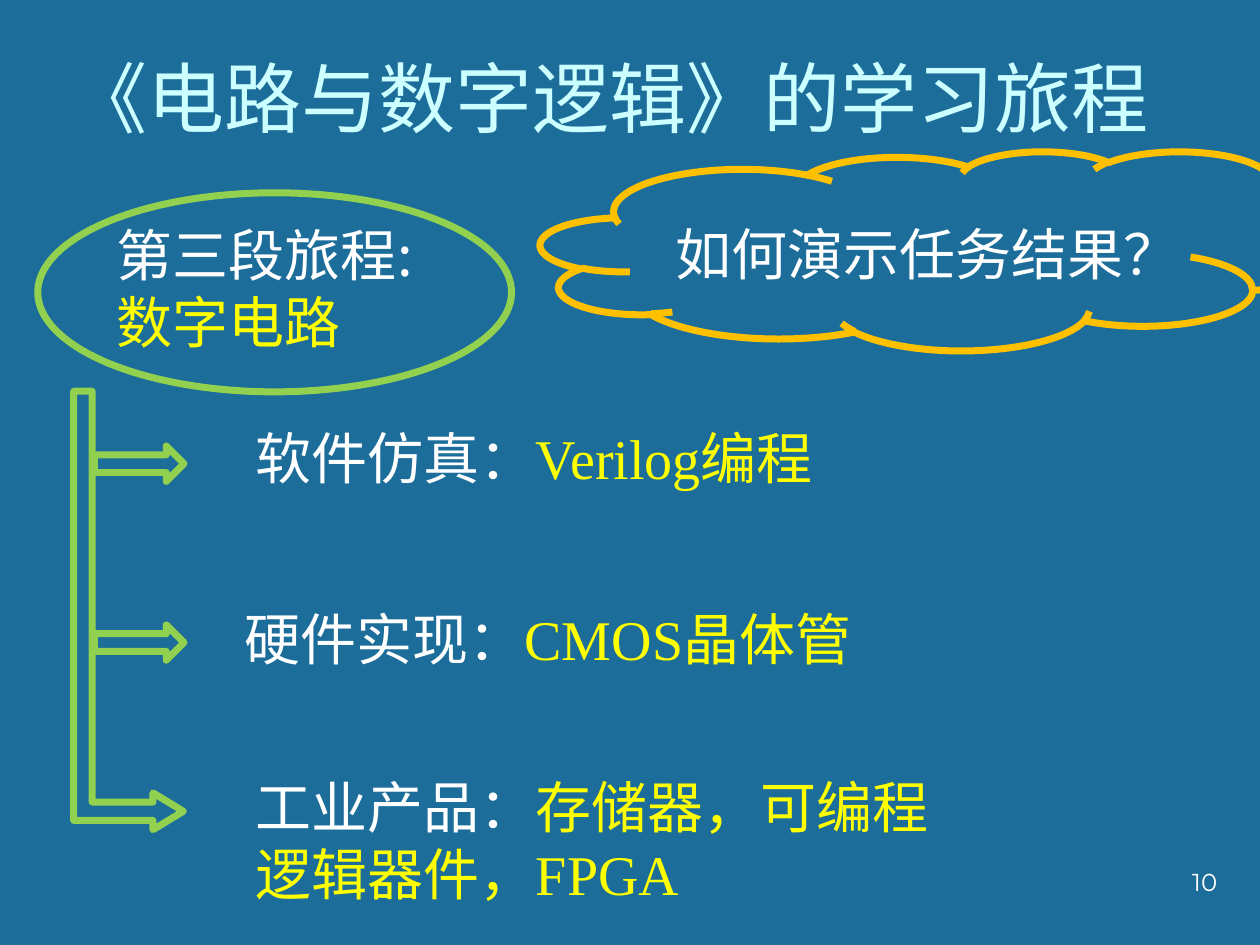
from dataclasses import dataclass

from lxml.etree import SubElement
from pptx import Presentation
from pptx.dml.color import RGBColor
from pptx.enum.shapes import MSO_SHAPE as Preset
from pptx.enum.text import MSO_ANCHOR as Anchor, PP_ALIGN as Align
from pptx.oxml.ns import qn
from pptx.slide import Slide
from pptx.util import Emu, Pt

PX = 9144
BACKGROUND = RGBColor(0x1C, 0x6D, 0x9A)
WHITE = RGBColor(0xFF, 0xFF, 0xFF)
YELLOW = RGBColor(0xFF, 0xFF, 0x00)
PALE_CYAN = RGBColor(0xCC, 0xFF, 0xFF)
GREEN = RGBColor(0x92, 0xD0, 0x50)
AMBER = RGBColor(0xFF, 0xC0, 0x00)
HAN = "Noto Sans CJK SC"
SERIF = "Times New Roman"
NUMBER_FONT = "Montserrat"


@dataclass(frozen=True)
class Area:
    left: int
    top: int
    width: int
    height: int

    def emu(self) -> list[Emu]:
        return [Emu(value * PX) for value in (self.left, self.top, self.width, self.height)]


@dataclass(frozen=True)
class Span:
    text: str
    color: RGBColor = WHITE
    font: str = HAN


@dataclass(frozen=True)
class Label:
    area: Area
    lines: tuple[tuple[Span, ...], ...]
    size: int = 32
    align: Align = Align.LEFT
    anchor: Anchor = Anchor.TOP


@dataclass(frozen=True)
class Outline:
    preset: Preset
    area: Area
    color: RGBColor = GREEN
    rotation: int = 0
    adjustments: tuple[float, ...] = ()


LABELS = (
    Label(Area(46, -40, 895, 158), ((Span("《电路与数字逻辑》的学习旅程", PALE_CYAN),),),
          size=44, anchor=Anchor.BOTTOM),
    Label(Area(83, 170, 370, 118), ((Span("第三段旅程:"),), (Span("数字电路", YELLOW),))),
    Label(Area(526, 169, 477, 64), ((Span("如何演示任务结果？"),),)),
    Label(Area(193, 331, 641, 64),
          ((Span("软件仿真："), Span("Verilog", YELLOW, SERIF), Span("编程", YELLOW)),)),
    Label(Area(184, 475, 559, 64),
          ((Span("硬件实现："), Span("CMOS", YELLOW, SERIF), Span("晶体管", YELLOW)),)),
    Label(Area(193, 608, 559, 118),
          ((Span("工业产品："), Span("存储器，可编程逻辑器件，", YELLOW),
            Span("FPGA", YELLOW, SERIF)),)),
    Label(Area(768, 683, 208, 50), ((Span("10", WHITE, NUMBER_FONT),),),
          size=14, align=Align.RIGHT),
)

OUTLINES = (
    Outline(Preset.OVAL, Area(30, 153, 376, 158)),
    Outline(Preset.CLOUD, Area(429, 120, 653, 158), AMBER),
    *(Outline(Preset.RIGHT_ARROW, Area(75, top, 71, 28)) for top in (354, 496)),
    Outline(Preset.BENT_UP_ARROW, Area(-72, 441, 348, 87), rotation=90,
            adjustments=(0.168, 0.168, 0.277)),
)


def draw_label(page: Slide, label: Label) -> None:
    frame = page.shapes.add_textbox(*label.area.emu()).text_frame
    frame.word_wrap = True
    frame.vertical_anchor = label.anchor
    frame.text = "\n".join("" for _ in label.lines)
    for para, spans in zip(frame.paragraphs, label.lines):
        para.alignment = label.align
        for span in spans:
            run = para.add_run()
            run.text = span.text
            run.font.size = Pt(label.size)
            run.font.color.rgb = span.color
            run.font.name = span.font
            SubElement(run.font._element, qn("a:ea"), typeface=span.font)


def draw_outline(page: Slide, outline: Outline) -> None:
    shape = page.shapes.add_shape(outline.preset, *outline.area.emu())
    shape.shadow.inherit = False
    shape.fill.background()
    shape.line.color.rgb = outline.color
    shape.line.width = Pt(4)
    shape.rotation = outline.rotation
    for index, value in enumerate(outline.adjustments):
        shape.adjustments[index] = value


def main() -> None:
    deck = Presentation()
    deck.slide_width, deck.slide_height = Emu(1000 * PX), Emu(750 * PX)
    page = deck.slides.add_slide(deck.slide_layouts[6])
    page.background.fill.solid()
    page.background.fill.fore_color.rgb = BACKGROUND
    for outline in OUTLINES:
        draw_outline(page, outline)
    for label in LABELS:
        draw_label(page, label)
    deck.save("out.pptx")


if __name__ == "__main__":
    main()
